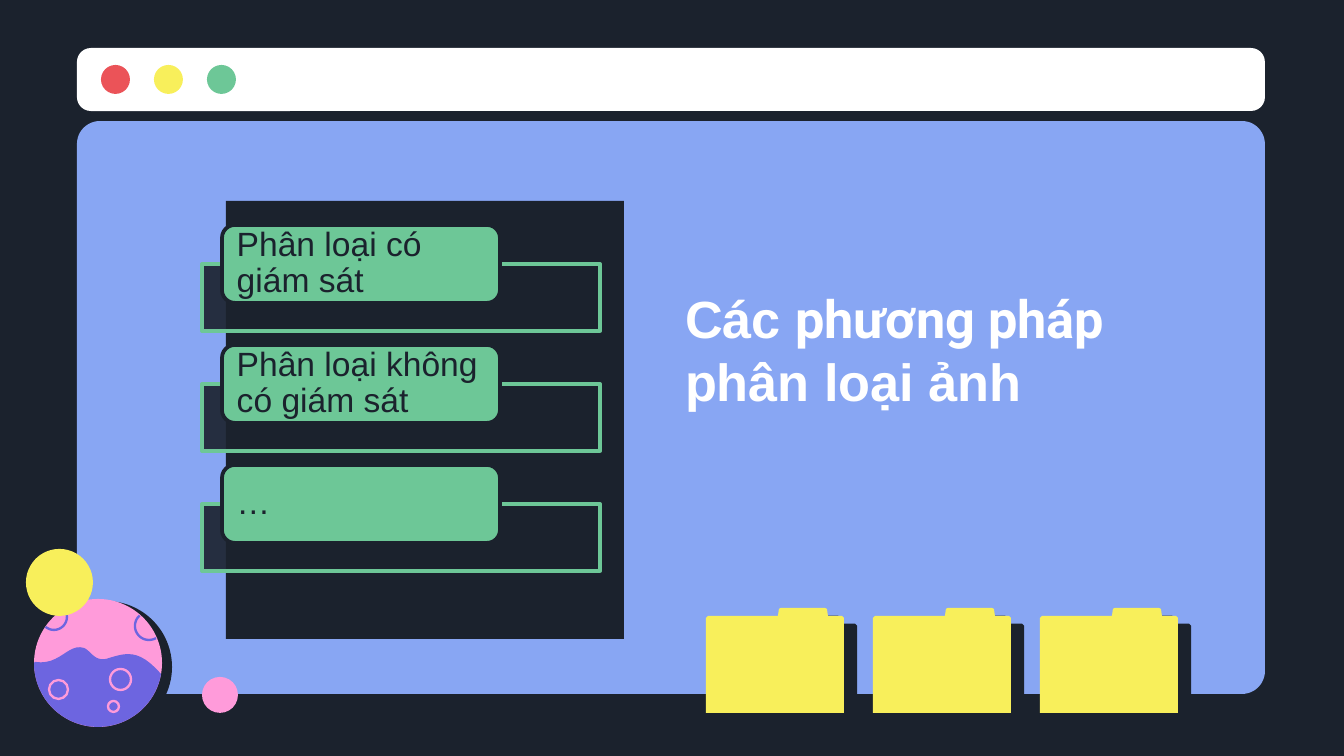
from math import atan2, cos, hypot, pi, sin

from lxml.etree import SubElement
from pptx import Presentation
from pptx.dml.color import RGBColor
from pptx.enum.shapes import MSO_SHAPE
from pptx.enum.text import MSO_ANCHOR, MSO_AUTO_SIZE, PP_ALIGN
from pptx.oxml.ns import qn
from pptx.util import Emu, Pt

PX = 914400 / 134.4
COLORS = {
    "dark": "1B222D", "blue": "88A6F3", "white": "FFFFFF", "red": "EB5358",
    "yellow": "F8EF5B", "green": "6DC797", "purple": "6D65E0", "pink": "FF9BDA",
}


def px(n):
    return Emu(round(n * PX))


def rgb(name):
    return RGBColor.from_string(COLORS[name])


def arc(cx, cy, r, start, end, steps=60):
    angles = [start + (end - start) * i / steps for i in range(steps + 1)]
    return [(cx + r * cos(a), cy + r * sin(a)) for a in angles]


def bezier(a, b, c, d, steps=12):
    return [tuple((1 - t) ** 3 * p + 3 * (1 - t) ** 2 * t * q
                  + 3 * (1 - t) * t ** 2 * u + t ** 3 * v
                  for p, q, u, v in zip(a, b, c, d))
            for t in (i / steps for i in range(steps + 1))]


class Deck:
    """Holds the style and the current slide."""

    def __init__(self, slide):
        self.s = slide
        fill = slide.background.fill
        fill.solid()
        fill.fore_color.rgb = rgb("dark")

    def paint(self, sp, fill=None, line=None, width=2.0):
        sp.shadow.inherit = False
        if fill:
            sp.fill.solid()
            sp.fill.fore_color.rgb = rgb(fill)
        else:
            sp.fill.background()
        if line:
            sp.line.color.rgb = rgb(line)
            sp.line.width = Pt(width)
        else:
            sp.line.fill.background()
        return sp

    def shape(self, kind, x, y, w, h, adj=None, **style):
        sp = self.s.shapes.add_shape(kind, px(x), px(y), px(w), px(h))
        if adj is not None:
            sp.adjustments[0] = adj
        return self.paint(sp, **style)

    def circle(self, x, y, size, **style):
        return self.shape(MSO_SHAPE.OVAL, x, y, size, size, **style)

    def outline(self, points, close=True, **style):
        pts = [(px(x), px(y)) for x, y in points]
        fb = self.s.shapes.build_freeform(*pts[0])
        fb.add_line_segments(pts[1:], close=close)
        return self.paint(fb.convert_to_shape(), **style)

    def drop_shadow(self, sp, color, dist, degrees):
        effects = sp.element.spPr.find(qn("a:effectLst"))
        shadow = SubElement(effects, qn("a:outerShdw"), dist=str(Pt(dist)),
                            dir=str(degrees * 60000), algn="bl", rotWithShape="0")
        SubElement(shadow, qn("a:srgbClr"), val=COLORS[color])

    def opacity(self, sp, percent):
        color = sp.element.spPr.find(qn("a:solidFill"))[0]
        SubElement(color, qn("a:alpha"), val=str(percent * 1000))

    def set_text(self, sp, runs, size, color, bold=False, spacing=None,
                 anchor=MSO_ANCHOR.MIDDLE, insets=(0, 0, 0, 0)):
        tf = sp.text_frame
        left, top, right, bottom = map(px, insets)
        frame = {"word_wrap": True, "auto_size": MSO_AUTO_SIZE.NONE,
                 "vertical_anchor": anchor, "margin_left": left, "margin_top": top,
                 "margin_right": right, "margin_bottom": bottom}
        for name, value in frame.items():
            setattr(tf, name, value)
        p = tf.paragraphs[0]
        p.alignment = PP_ALIGN.LEFT
        p.line_spacing = spacing
        for text, font in runs:
            r = p.add_run()
            r.text = text
            for name, value in {"size": Pt(size), "name": font, "bold": bold}.items():
                setattr(r.font, name, value)
            r.font.color.rgb = rgb(color)

    def title(self, x, y, w, h, runs):
        sp = self.s.shapes.title
        sp.left, sp.top, sp.width, sp.height = map(px, (x, y, w, h))
        self.set_text(sp, runs, 28, "white", bold=True, spacing=1.0,
                      anchor=MSO_ANCHOR.BOTTOM, insets=(13, 13, 13, 13))
        sp.element.getparent().append(sp.element)  # in front of the window

    def folder(self, x, y):
        corners = [(138, 10), (138, 105), (0, 105), (0, 10), (2, 8), (72, 8), (73, 1),
                   (75, 0), (119, 0), (121, 1), (122, 8), (136, 8)]
        sp = self.outline([(x + dx, y + dy) for dx, dy in corners], fill="yellow")
        self.drop_shadow(sp, "dark", 8.2, 31)

    def planet(self, cx, cy, r):
        self.circle(40, 601, 132, fill="dark")
        self.circle(cx - r, cy - r, 2 * r, fill="pink")
        # Purple half under a wavy edge
        wave = (bezier((35, 662), (60, 666), (68, 643), (84, 648))
                + bezier((84, 648), (92, 652), (94, 661), (106, 659))
                + bezier((106, 659), (126, 653), (138, 648), (161, 674)))
        start = atan2(674 - cy, 161 - cx)
        self.outline(wave + arc(cx, cy, r, start, pi), fill="purple")
        # Craters on the edge show only inside the planet
        for x, y, size in ((54, 617, 13), (149, 626, 14)):
            away = atan2(y - cy, x - cx)
            ring = [(a, b) for a, b in arc(x, y, size, away, away + 2 * pi)
                    if hypot(a - cx, b - cy) <= r]
            self.outline(ring, close=False, line="purple", width=1.25)
        for x, y, size in ((110, 669, 21), (49, 680, 19), (108, 701, 11)):
            self.circle(x, y, size, line="pink", width=1.25)

    def method(self, y, text):
        box = self.shape(MSO_SHAPE.RECTANGLE, 202, y, 398, 67, fill="dark", line="green")
        self.opacity(box, 90)
        label = self.shape(MSO_SHAPE.ROUNDED_RECTANGLE, 222, y - 39, 278, 78,
                           fill="green", line="dark")
        self.set_text(label, [(text, "Arial")], 18, "dark", spacing=0.9,
                      insets=(11, 0, 10, 0))


def main():
    prs = Presentation()
    prs.slide_width, prs.slide_height = px(1344), px(756)
    deck = Deck(prs.slides.add_slide(prs.slide_layouts[5]))

    # Browser window
    deck.shape(MSO_SHAPE.ROUNDED_RECTANGLE, 77, 121, 1188, 573, adj=0.04, fill="blue")
    deck.shape(MSO_SHAPE.ROUNDED_RECTANGLE, 77, 48, 1188, 63, adj=0.22, fill="white")
    for i, color in enumerate(("red", "yellow", "green")):
        deck.circle(101 + 53 * i, 65, 29, fill=color)

    # Folders
    for i in range(3):
        deck.folder(706 + 167 * i, 608)

    # Planet and moons
    deck.planet(98, 663, 64)
    deck.circle(26, 549, 67, fill="yellow")
    deck.circle(202, 677, 36, fill="pink")

    # List of methods
    deck.shape(MSO_SHAPE.RECTANGLE, 226, 201, 398, 438, fill="dark")
    methods = ("Phân loại có giám sát", "Phân loại không có giám sát", "…")
    for i, text in enumerate(methods):
        deck.method(264 + 120 * i, text)

    # Title
    deck.title(672, 210, 507, 215, [("Các ", "Arial"), ("phương pháp ", "Roboto"),
                                    ("phân loại ảnh", "Arial")])
    prs.save("out.pptx")


if __name__ == "__main__":
    main()
